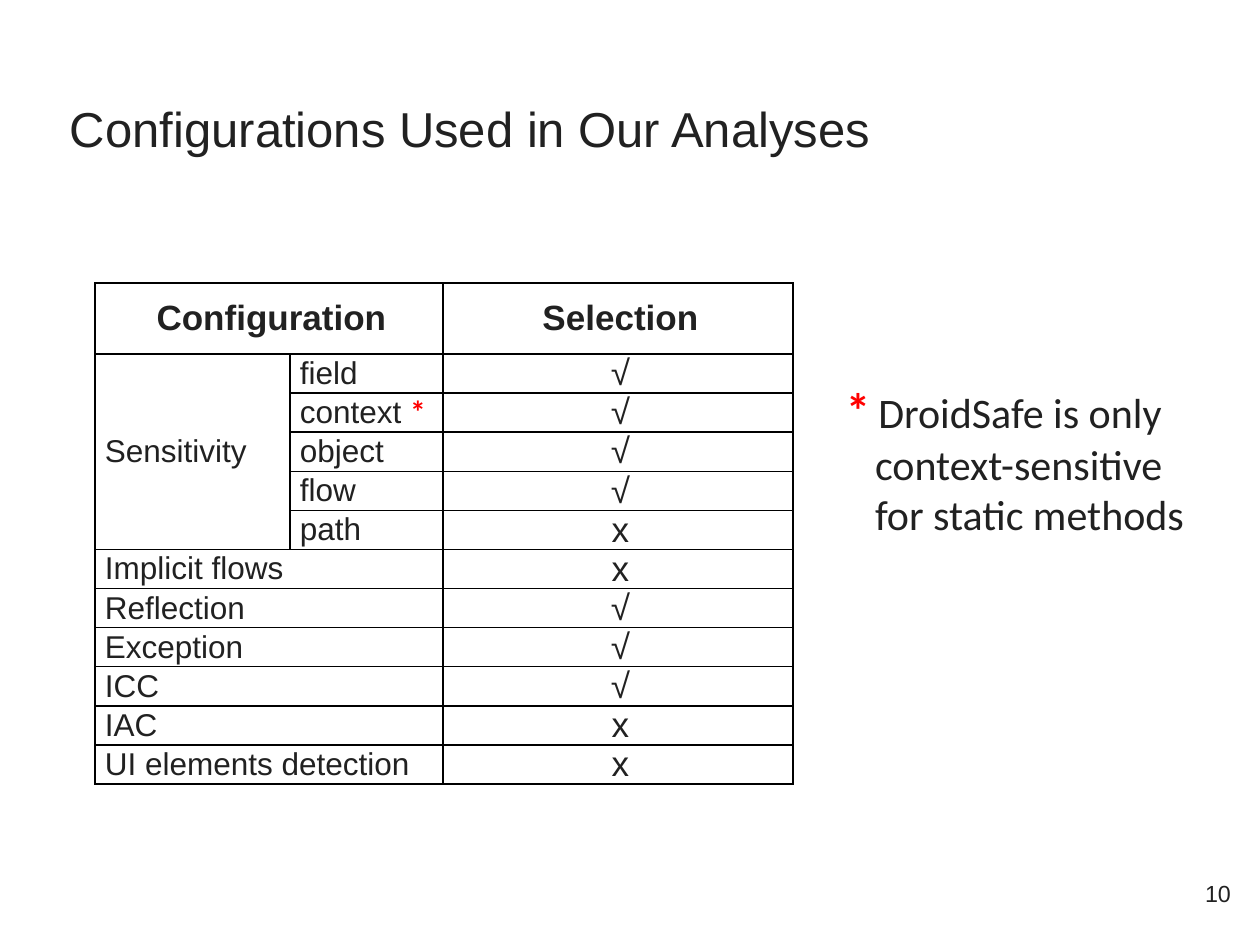
from dataclasses import dataclass

from lxml.etree import SubElement
from pptx import Presentation
from pptx.dml.color import RGBColor as RGB
from pptx.enum.text import MSO_ANCHOR as Anchor, PP_ALIGN as Align
from pptx.oxml.ns import qn
from pptx.util import Emu, Pt

PX_PER_INCH = 126
YES, NO = "√", "x"


def px(length):
    return Emu(round(length * 914400 / PX_PER_INCH))


@dataclass(frozen=True)
class Theme:
    ink: str = "212121"
    accent: str = "FF0000"
    border: str = "000000"
    sans: str = "Arial"
    note: str = "Calibri"
    title_size: float = 28
    head_size: float = 20
    body_size: float = 18
    note_size: float = 24
    number_size: float = 13.3


class SlideBuilder:
    def __init__(self, deck, theme):
        self.theme = theme
        self.slide = deck.slides.add_slide(deck.slide_layouts[6])

    def run(self, paragraph, text, size, name=None, color=None, bold=False):
        piece = paragraph.add_run()
        piece.text = text
        style = {"size": Pt(size), "name": name or self.theme.sans, "bold": bold}
        for key, value in style.items():
            setattr(piece.font, key, value)
        piece.font.color.rgb = RGB.from_string(color or self.theme.ink)

    def text_box(self, left, top, width, height, inset, anchor=Anchor.TOP):
        frame = self.slide.shapes.add_textbox(
            px(left), px(top), px(width), px(height)).text_frame
        layout = {"word_wrap": True, "vertical_anchor": anchor}
        for side in ("left", "top", "right", "bottom"):
            layout[f"margin_{side}"] = px(inset)
        for key, value in layout.items():
            setattr(frame, key, value)
        return frame.paragraphs[0]

    def table(self, left, top, widths, heights):
        grid = self.slide.shapes.add_table(
            len(heights), len(widths), px(left), px(top),
            px(sum(widths)), px(sum(heights))).table
        grid.first_row = grid.horz_banding = False
        for column, width in zip(grid.columns, widths):
            column.width = px(width)
        for row, height in zip(grid.rows, heights):
            row.height = px(height)
        for cell in grid.iter_cells():
            self.frame_cell(cell)
        return grid

    def frame_cell(self, cell):
        layout = {"margin_left": px(10), "margin_right": px(5), "margin_top": 0,
                  "margin_bottom": 0, "vertical_anchor": Anchor.MIDDLE}
        for key, value in layout.items():
            setattr(cell, key, value)
        properties = cell._tc.get_or_add_tcPr()
        for side in ("lnL", "lnR", "lnT", "lnB"):
            line = SubElement(properties, qn(f"a:{side}"), w=str(Pt(1)))
            fill = SubElement(line, qn("a:solidFill"))
            SubElement(fill, qn("a:srgbClr"), val=self.theme.border)
        cell.fill.background()

    def cell_text(self, cell, text, size, align=Align.LEFT, bold=False):
        paragraph = cell.text_frame.paragraphs[0]
        paragraph.alignment = align
        self.run(paragraph, text, size, bold=bold)
        return paragraph


def main():
    theme = Theme()
    deck = Presentation()
    deck.slide_width, deck.slide_height = px(1260), px(945)
    page = SlideBuilder(deck, theme)

    # Configuration table
    sensitivities = [("field", YES), ("context", YES), ("object", YES),
                     ("flow", YES), ("path", NO)]
    features = [("Implicit flows", NO), ("Reflection", YES), ("Exception", YES),
                ("ICC", YES), ("IAC", NO), ("UI elements detection", NO)]
    settings = sensitivities + features
    grid = page.table(95, 283, [195, 153, 350], [71] + [39] * len(settings))

    grid.cell(0, 0).merge(grid.cell(0, 1))
    for column, heading in ((0, "Configuration"), (2, "Selection")):
        page.cell_text(grid.cell(0, column), heading, theme.head_size,
                       Align.CENTER, bold=True)

    grid.cell(1, 0).merge(grid.cell(len(sensitivities), 0))
    page.cell_text(grid.cell(1, 0), "Sensitivity", theme.body_size)

    for row, (setting, selection) in enumerate(settings, start=1):
        is_sensitivity = row <= len(sensitivities)
        if not is_sensitivity:
            grid.cell(row, 0).merge(grid.cell(row, 1))
        label = page.cell_text(grid.cell(row, int(is_sensitivity)), setting,
                               theme.body_size)
        if setting == "context":
            page.run(label, " ", theme.body_size)
            page.run(label, "*", theme.body_size, theme.note, theme.accent, True)
        page.cell_text(grid.cell(row, 2), selection, theme.head_size, Align.CENTER)

    # Title
    title = page.text_box(54, 82, 1182, 106, inset=16)
    page.run(title, "Configurations Used in Our Analyses", theme.title_size)

    # Slide number
    number = page.text_box(1168, 857, 76, 72, inset=13, anchor=Anchor.MIDDLE)
    number.alignment = Align.RIGHT
    page.run(number, "10", theme.number_size)

    # Footnote with a hanging indent after the asterisk
    footnote = page.text_box(830, 348, 430, 223, inset=16, anchor=Anchor.MIDDLE)
    hang = px(29)
    indents = footnote._p.get_or_add_pPr()
    indents.set("marL", str(hang))
    indents.set("indent", str(-hang))
    page.run(footnote, "*", theme.title_size, theme.note, theme.accent, True)
    page.run(footnote, " ", theme.head_size, theme.note)
    page.run(footnote, "DroidSafe is only", theme.note_size, theme.note)
    for line in ("context-sensitive", "for static methods"):
        footnote.add_line_break()
        page.run(footnote, line, theme.note_size, theme.note)

    deck.save("out.pptx")


if __name__ == "__main__":
    main()
